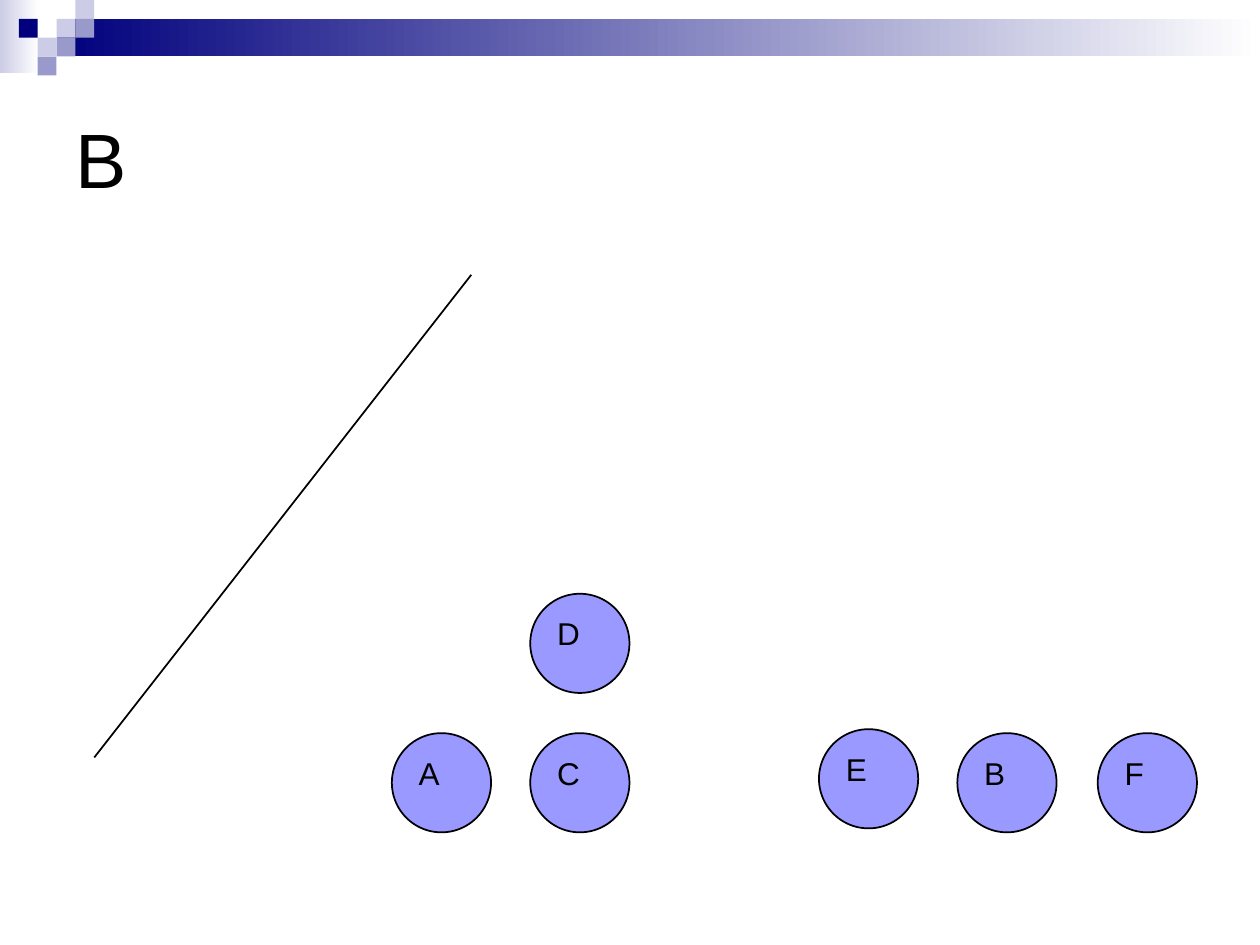
from lxml.etree import SubElement
from pptx import Presentation
from pptx.dml.color import RGBColor
from pptx.enum.shapes import MSO_CONNECTOR, MSO_SHAPE
from pptx.enum.text import MSO_ANCHOR, PP_ALIGN
from pptx.oxml.ns import qn
from pptx.util import Cm, Pt

NAVY, MID, PALE = "00007D", "9999CC", "CCCCE6"
BLACK, WHITE, LILAC = "000000", "FFFFFF", "9999FF"
UNIT = 0.38
SQUARES = [
    (3, 1, PALE), (4, 0, PALE), (4, 1, MID), (2, 2, PALE),
    (1, 1, NAVY), (3, 2, MID), (2, 3, MID),
]
ROW = 14.78
NODES = [
    ("F", 22.13, ROW), ("E", 16.51, 14.7), ("D", 10.69, 11.97),
    ("C", 10.69, ROW), ("B", 19.3, ROW), ("A", 7.9, ROW),
]
SIZE = 2.0


def paint(color, code):
    color.rgb = RGBColor.from_string(code)


def apply(target, values):
    for name, value in values.items():
        setattr(target, name, value)


def add_shape(slide, kind, *box):
    shape = slide.shapes.add_shape(kind, *map(Cm, box))
    shape.shadow.inherit = False
    return shape


def add_block(slide, box, code):
    block = add_shape(slide, MSO_SHAPE.RECTANGLE, *box)
    block.fill.solid()
    paint(block.fill.fore_color, code)
    block.line.fill.background()


def add_fade(slide, box, code):
    band = add_shape(slide, MSO_SHAPE.RECTANGLE, *box)
    band.fill.gradient()
    band.fill.gradient_angle = 0
    for stop, tone, place in zip(band.fill.gradient_stops, (code, WHITE), (0, 1)):
        paint(stop.color, tone)
        stop.position = place
    band.line.fill.background()


def write(shape, text, size, anchor):
    frame = shape.text_frame
    apply(frame, {"text": text, "word_wrap": True, "vertical_anchor": anchor})
    part = frame.paragraphs[0]
    part.alignment = PP_ALIGN.LEFT
    font = part.runs[0].font
    apply(font, {"name": "Arial", "size": Pt(size)})
    paint(font.color, BLACK)


def draw_line(line):
    line.width = Pt(1)
    line.fill.solid()
    paint(line.fill.fore_color, BLACK)


def add_title(slide, text):
    title = slide.shapes.add_textbox(Cm(1.27), Cm(1.27), Cm(22.86), Cm(3.81))
    write(title, text, 44, MSO_ANCHOR.MIDDLE)


def add_node(slide, text, left, top):
    node = add_shape(slide, MSO_SHAPE.OVAL, left, top, SIZE, SIZE)
    node.fill.solid()
    paint(node.fill.fore_color, LILAC)
    draw_line(node.line)
    write(node, text, 18, MSO_ANCHOR.TOP)


def add_line(slide, *ends):
    link = slide.shapes.add_connector(MSO_CONNECTOR.STRAIGHT, *map(Cm, ends))
    draw_line(link.line)
    SubElement(link._element.spPr, qn("a:effectLst"))


def main():
    deck = Presentation()
    apply(deck, {"slide_width": Cm(25.4), "slide_height": Cm(19.05)})
    slide = deck.slides.add_slide(deck.slide_layouts[6])
    add_fade(slide, (0, 0, 0.78, 1.47), PALE)
    add_fade(slide, (1.14, UNIT, 24.26, 2 * UNIT), NAVY)
    for col, row, code in SQUARES:
        add_block(slide, (col * UNIT, row * UNIT, UNIT, UNIT), code)
    add_title(slide, "B")
    for node in NODES:
        add_node(slide, *node)
    add_line(slide, 1.9, 15.27, 9.5, 5.54)
    deck.save("out.pptx")


if __name__ == "__main__":
    main()
